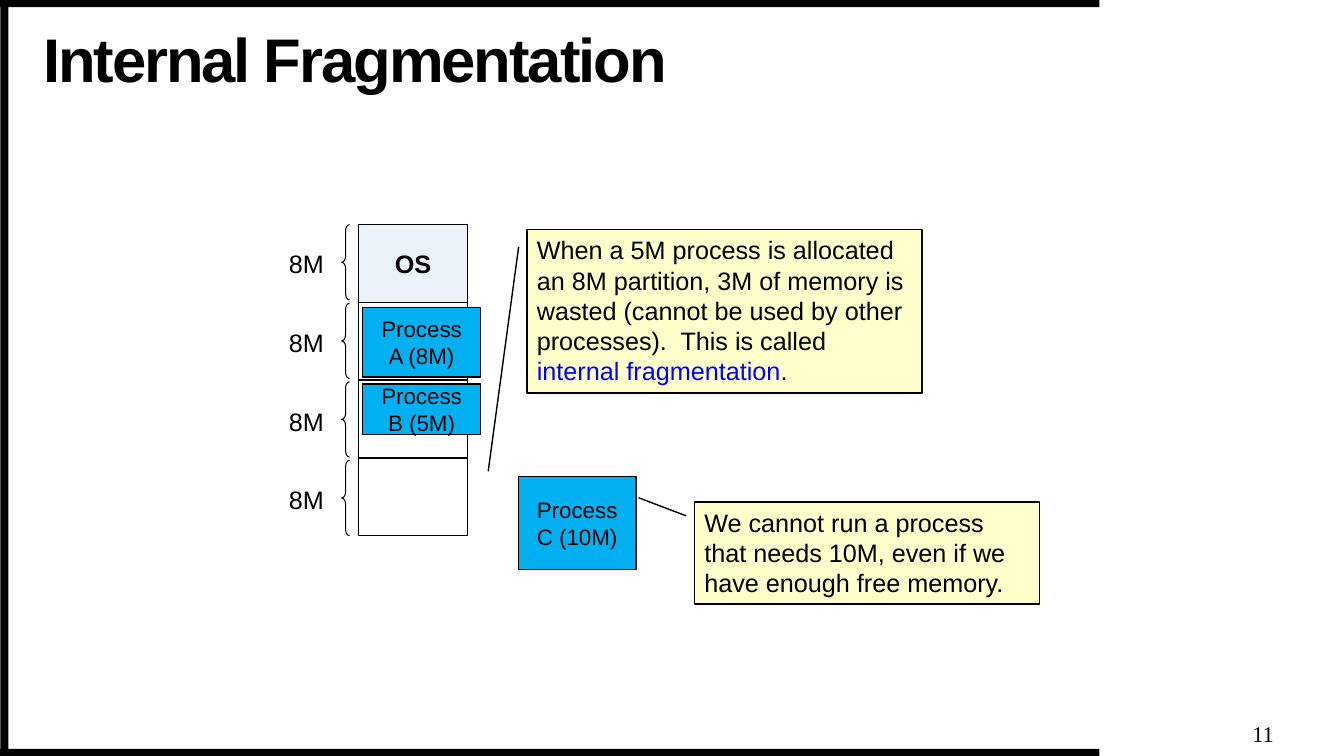
from pptx import Presentation
from pptx import util as u
from pptx.dml.color import RGBColor
from pptx.enum import shapes, text

COLOURS = {"black": "000000", "white": "FFFFFF", "os": "EBF2F9",
           "process": "00B0F0", "note": "FFFFCC", "term": "0000FF"}
TITLE = "Internal Fragmentation"
PAGE_NUMBER = "11"
FRAME_BARS = [(0, 18.87, 27.71, 0.18), (0, 0, 27.71, 0.18), (0.01, 0.09, 0.2, 18.97)]
PARTITIONS = [("OS", "os"), ("", "white"), ("", "white"), ("", "white")]
PARTITION_SIZE = "8M"
PROCESSES = [("Process A (8M)", 9.14, 7.75, 1.75),
             ("Process B (5M)", 9.14, 9.68, 1.27),
             ("Process C (10M)", 13.06, 12.01, 2.34)]
NOTES = [
    ([("When a 5M process is allocated an 8M partition, 3M of memory is wasted "
       "(cannot be used by other processes).  This is called ", "black"),
      ("internal fragmentation", "term"), (".", "black")],
     (13.28, 5.79, 9.96, 4.11), (0.106, -0.021, 1.481, -0.098)),
    ([("We cannot run a process that needs 10M, even if we have enough free memory.",
       "black")],
     (17.5, 12.65, 8.69, 2.57), (0.136, -0.024, -0.042, -0.162)),
]
MEMORY_LEFT, MEMORY_TOP, MEMORY_WIDTH, PARTITION_HEIGHT = 9.04, 5.66, 2.74, 1.96
BRACE_STEP = 1.98
PROCESS_WIDTH = 2.97

KIND = shapes.MSO_SHAPE
ALIGN = text.PP_ALIGN
ANCHOR = text.MSO_ANCHOR


def colour(name):
    return RGBColor.from_string(COLOURS[name])


def add_shape(kind, area, fill=None, line=1, adjustments=()):
    shape = page.shapes.add_shape(kind, *map(u.Cm, area))
    shape.shadow.inherit = False
    if fill:
        shape.fill.solid()
        shape.fill.fore_color.rgb = colour(fill)
    else:
        shape.fill.background()
    if line:
        shape.line.color.rgb = colour("black")
        shape.line.width = u.Pt(line)
    else:
        shape.line.fill.background()
    for index, value in enumerate(adjustments):
        shape.adjustments[index] = value
    return shape


def write(box, spans, size, align, anchor=ANCHOR.MIDDLE, bold=False,
          font="Arial", inset=None):
    frame = box.text_frame
    frame.word_wrap = True
    frame.vertical_anchor = anchor
    if inset is not None:
        frame.margin_left = frame.margin_right = u.Cm(inset)
        frame.margin_top = frame.margin_bottom = u.Cm(inset)
    para = frame.paragraphs[0]
    para.alignment = align
    para.font.name = font
    para.font.size = u.Pt(size)
    para.font.bold = bold
    for words, name in spans:
        span = para.add_run()
        span.text = words
        span.font.color.rgb = colour(name)
    return para


def add_text(words, area, size, align, **style):
    box = page.shapes.add_textbox(*map(u.Cm, area))
    return write(box, [(words, "black")], size, align, **style)


deck = Presentation()
deck.slide_width, deck.slide_height = u.Cm(33.87), u.Cm(19.05)
page = deck.slides.add_slide(deck.slide_layouts[6])

for area in FRAME_BARS:
    add_shape(KIND.RECTANGLE, area, "black", line=0)

title = add_text(TITLE, (1.09, 0.64, 25.55, 1.88), 44, ALIGN.LEFT, bold=True, inset=0)
title.line_spacing = 0.9
title.runs[0].font._element.set("spc", "-150")
add_text(PAGE_NUMBER, (31.45, 18.11, 0.76, 0.76), 16, ALIGN.CENTER,
         font="Times New Roman", inset=0)

for row, (name, fill) in enumerate(PARTITIONS):
    top = MEMORY_TOP + row * PARTITION_HEIGHT
    cell = add_shape(KIND.RECTANGLE, (MEMORY_LEFT, top, MEMORY_WIDTH, PARTITION_HEIGHT), fill)
    if name:
        write(cell, [(name, "black")], 18, ALIGN.CENTER, bold=True)
    brace_top = MEMORY_TOP + row * BRACE_STEP
    add_shape(KIND.LEFT_BRACE, (8.61, brace_top, 0.2, 1.9), line=0.75,
              adjustments=(0.75, 0.5))
    add_text(PARTITION_SIZE, (6.71, brace_top + 0.43, 1.7, 1.12), 18, ALIGN.RIGHT)

for name, left, top, height in PROCESSES:
    block = add_shape(KIND.RECTANGLE, (left, top, PROCESS_WIDTH, height), "process")
    write(block, [(name, "black")], 16, ALIGN.CENTER)

for spans, area, pointer in NOTES:
    note = add_shape(KIND.LINE_CALLOUT_1, area, "note", adjustments=pointer)
    write(note, spans, 18, ALIGN.LEFT, anchor=ANCHOR.TOP)

deck.save("out.pptx")
